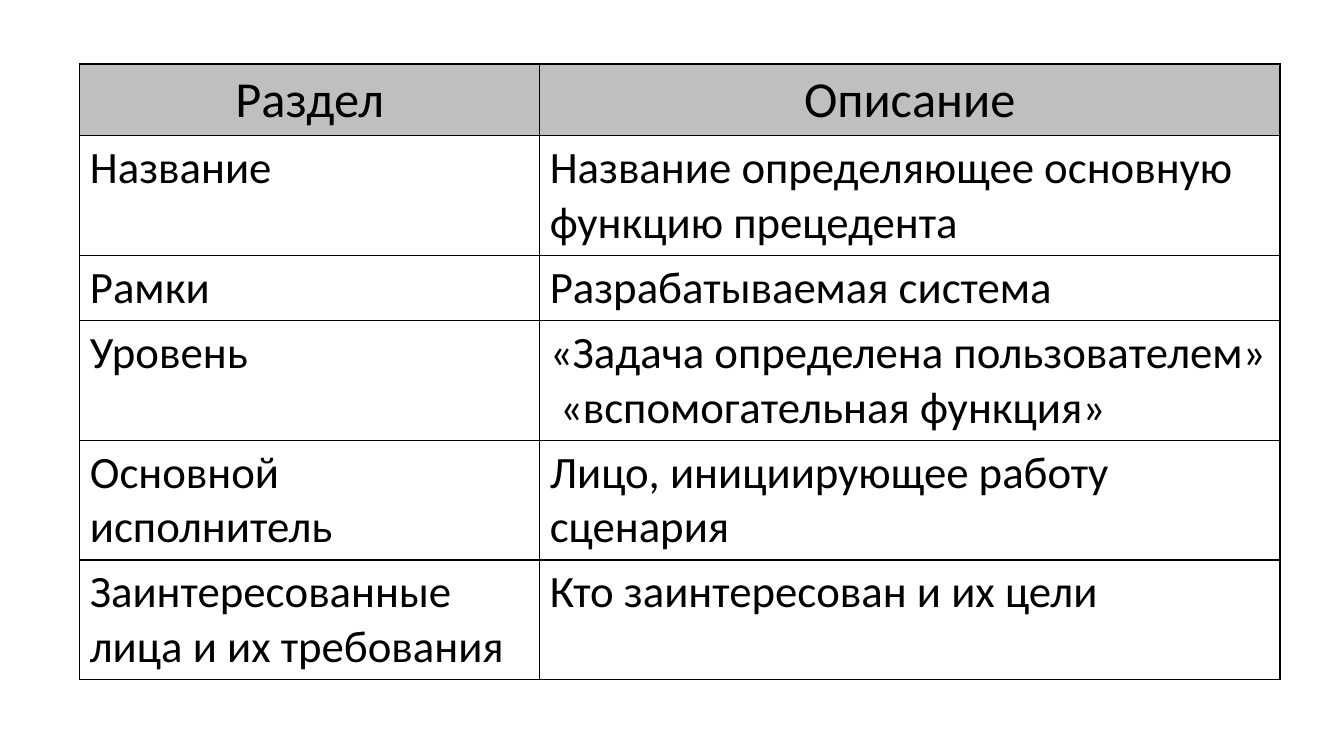
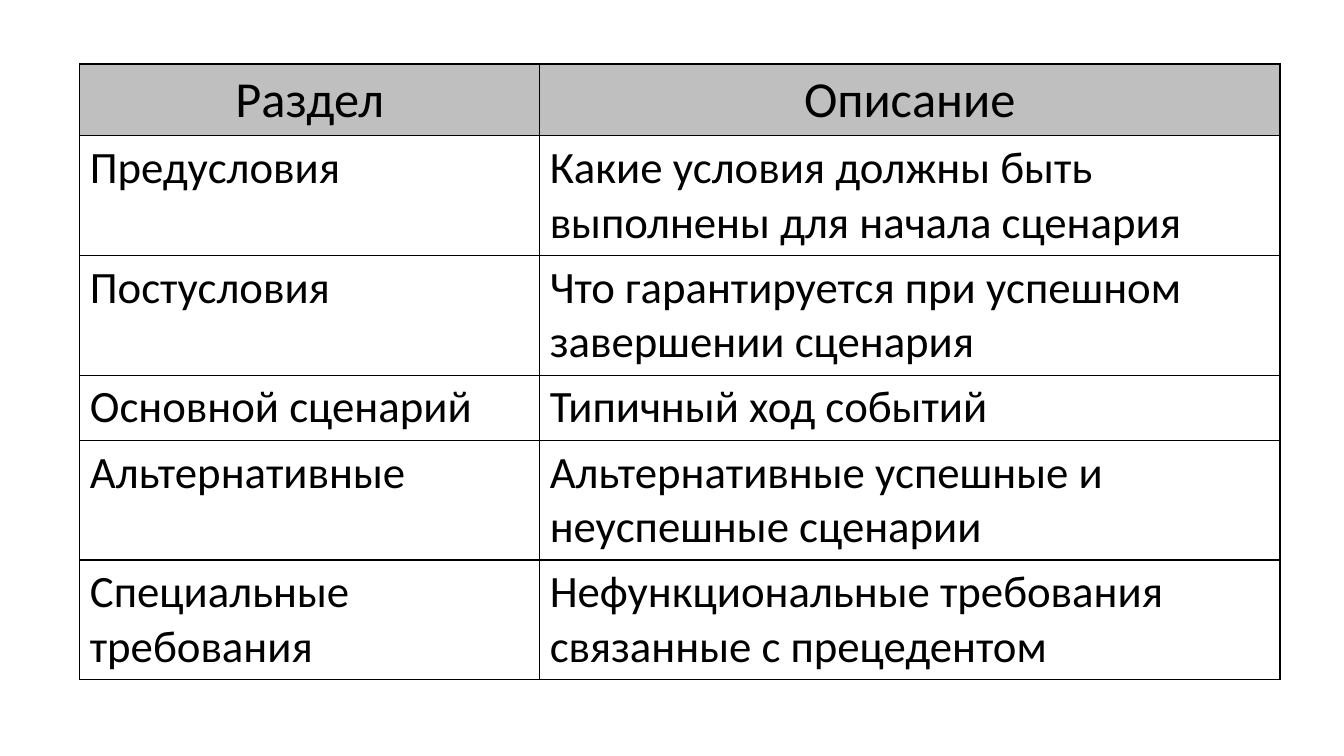
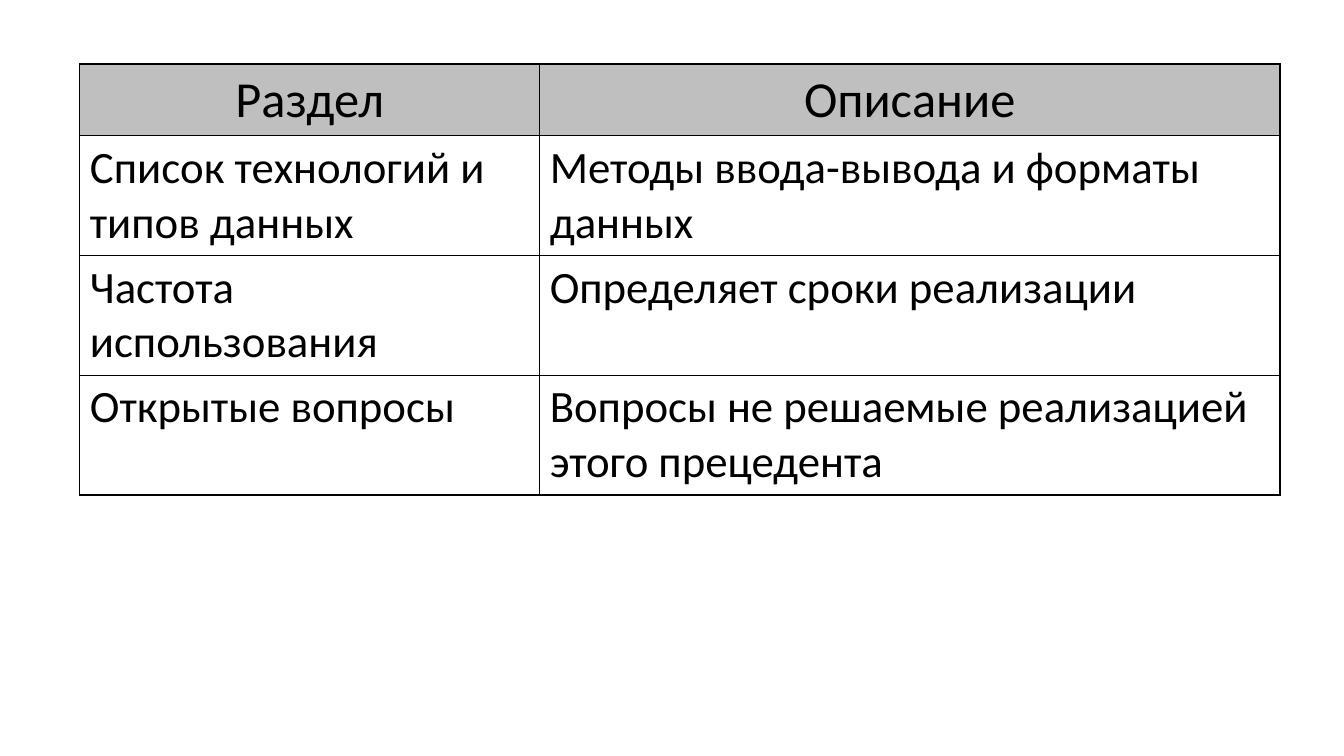
"""Builds three slides that describe the sections of a use case."""
from lxml import etree
from pptx import Presentation
from pptx import util as u
from pptx.dml.color import RGBColor
from pptx.enum import text
from pptx.oxml.ns import qn

PX = 9525
BLACK, GREY, WHITE = "000000", "BFBFBF", "FFFFFF"
LEFT, TOP = 76, 61
COLUMN_WIDTHS = (438, 705)
HEADER_HEIGHT, LINE_HEIGHT, CELL_PADDING = 68, 52, 10
BLANK_LAYOUT = 6

HEADER = ("Раздел", "Описание")
HEADER_FORMAT = {"size": u.Pt(36), "name": "Calibri", "bold": False}
BODY_FORMAT = {"size": u.Pt(32), "name": "Calibri", "bold": False}

SECTIONS = [
    [
        ("Название", "Название определяющее основную функцию прецедента", 2),
        ("Рамки", "Разрабатываемая система", 1),
        ("Уровень", "«Задача определена пользователем»\v «вспомогательная функция»", 2),
        ("Основной исполнитель", "Лицо, инициирующее работу сценария", 2),
        ("Заинтересованные лица и их требования", "Кто заинтересован и их цели", 2),
    ],
    [
        ("Предусловия", "Какие условия должны быть выполнены для начала сценария", 2),
        ("Постусловия", "Что гарантируется при успешном завершении сценария", 2),
        ("Основной сценарий", "Типичный ход событий", 1),
        ("Альтернативные", "Альтернативные успешные и неуспешные сценарии", 2),
        ("Специальные требования", "Нефункциональные требования связанные с прецедентом", 2),
    ],
    [
        ("Список технологий и типов данных", "Методы ввода-вывода и форматы данных", 2),
        ("Частота использования", "Определяет сроки реализации", 2),
        ("Открытые вопросы", "Вопросы не решаемые реализацией этого прецедента", 2),
    ],
]


def px(length):
    return u.Emu(length * PX)


def color(hex_value):
    return RGBColor.from_string(hex_value)


def add_borders(cell):
    properties = cell._tc.get_or_add_tcPr()
    for side in ("a:lnL", "a:lnR", "a:lnT", "a:lnB"):
        border = etree.SubElement(properties, qn(side), w=str(u.Pt(1)))
        fill = etree.SubElement(border, qn("a:solidFill"))
        etree.SubElement(fill, qn("a:srgbClr"), val=BLACK)


def fill_cell(cell, wording, fill, font_format, alignment):
    add_borders(cell)
    cell.fill.solid()
    cell.fill.fore_color.rgb = color(fill)
    cell.text = wording
    paragraph = cell.text_frame.paragraphs[0]
    paragraph.alignment = alignment
    for run in paragraph.runs:
        for attribute, value in font_format.items():
            setattr(run.font, attribute, value)
        run.font.color.rgb = color(BLACK)


def add_section_table(slide, sections):
    heights = [HEADER_HEIGHT]
    heights += [CELL_PADDING + LINE_HEIGHT * lines for _, _, lines in sections]
    table = slide.shapes.add_table(
        len(heights), len(COLUMN_WIDTHS), px(LEFT), px(TOP),
        px(sum(COLUMN_WIDTHS)), px(sum(heights))).table
    table.first_row = table.horz_banding = False
    for column, width in zip(table.columns, COLUMN_WIDTHS):
        column.width = px(width)
    for row, height in zip(table.rows, heights):
        row.height = px(height)
    for column, heading in enumerate(HEADER):
        fill_cell(table.cell(0, column), heading, GREY, HEADER_FORMAT,
                  text.PP_ALIGN.CENTER)
    for row, (section, description, _) in enumerate(sections, 1):
        for column, wording in enumerate((section, description)):
            fill_cell(table.cell(row, column), wording, WHITE, BODY_FORMAT,
                      text.PP_ALIGN.LEFT)


def main():
    deck = Presentation()
    deck.slide_width, deck.slide_height = px(1280), px(720)
    for sections in SECTIONS:
        slide = deck.slides.add_slide(deck.slide_layouts[BLANK_LAYOUT])
        add_section_table(slide, sections)
    deck.save("out.pptx")


if __name__ == "__main__":
    main()
